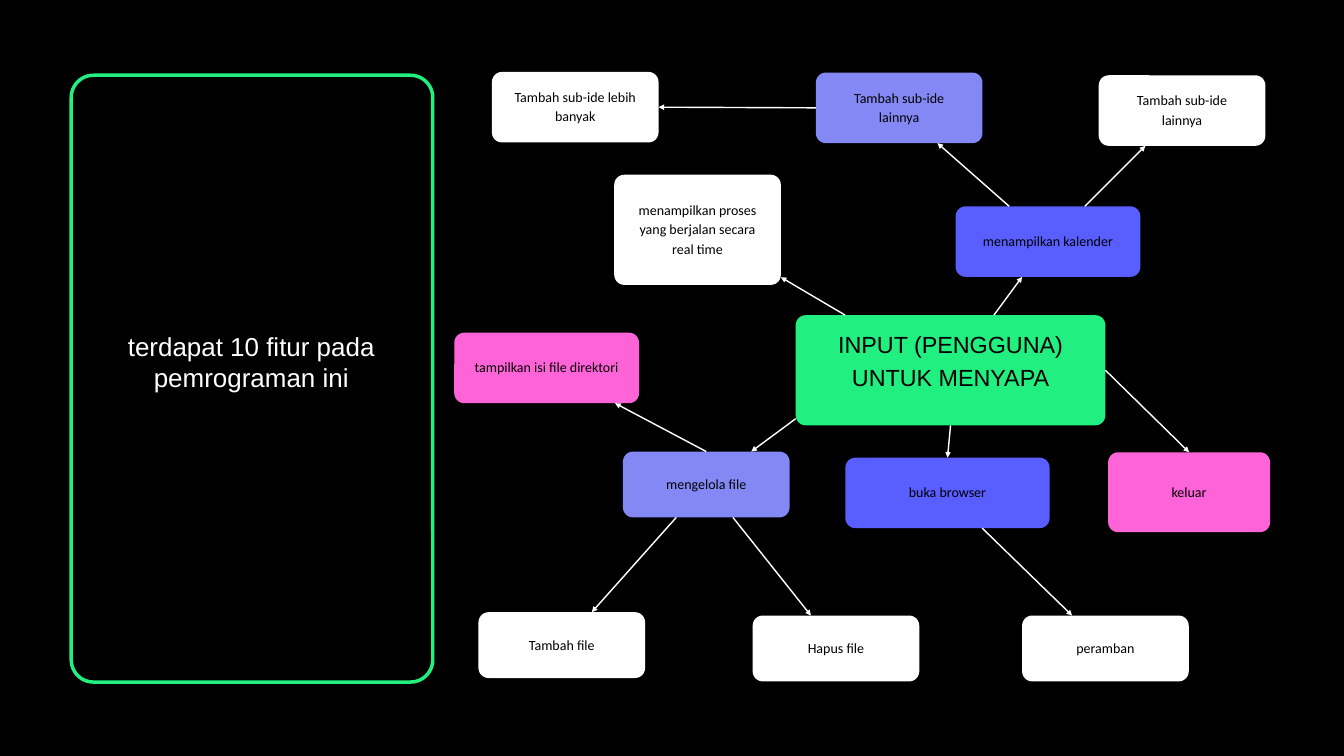
from pptx import Presentation
from pptx.dml.color import RGBColor
from pptx.enum import shapes, text
from pptx.oxml import parse_xml
from pptx.oxml.ns import nsdecls
from pptx import util as u

COLUMNS, ROWS = 20, 11.25  # square grid cells of one inch
COLORS = {
    "black": "000000",
    "white": "FFFFFF",
    "green": "21EF80",
    "pink": "FF63D8",
    "blue": "585EFF",
    "lilac": "8488F4",
}
TOP, LEFT, BOTTOM, RIGHT = range(4)  # connection sites of a rectangle

# name: (label, fill, column, row, columns wide, rows high)
IDEAS = {
    "input": ("INPUT (PENGGUNA) UNTUK MENYAPA", "green", 11.84, 4.69, 4.61, 1.64),
    "directory": ("tampilkan isi file direktori", "pink", 6.76, 4.95, 2.75, 1.05),
    "calendar": ("menampilkan kalender", "blue", 14.22, 3.07, 2.75, 1.05),
    "browser": ("buka browser", "blue", 12.58, 6.81, 3.04, 1.05),
    "exit": ("keluar", "pink", 16.49, 6.73, 2.41, 1.19),
    "sub_right": ("Tambah sub-ide lainnya", "white", 16.35, 1.12, 2.48, 1.05),
    "sub_left": ("Tambah sub-ide lainnya", "lilac", 12.14, 1.08, 2.48, 1.05),
    "sub_more": ("Tambah sub-ide lebih banyak", "white", 7.32, 1.07, 2.48, 1.05),
    "processes": ("menampilkan proses yang berjalan secara real time",
                  "white", 9.14, 2.6, 2.48, 1.64),
    "files": ("mengelola file", "lilac", 9.27, 6.72, 2.48, 0.98),
    "browser_name": ("peramban", "white", 15.21, 9.16, 2.48, 0.98),
    "add_file": ("Tambah file", "white", 7.12, 9.11, 2.48, 0.98),
    "delete_file": ("Hapus file", "white", 11.2, 9.16, 2.48, 0.98),
}

# (from, side, share along the side), (to, side, share along the side)
ARROWS = [
    (("input", RIGHT, 0.5), ("exit", TOP, 0.5)),
    (("input", TOP, 0.64), ("calendar", BOTTOM, 0.36)),
    (("input", BOTTOM, 0.5), ("browser", TOP, 0.5)),
    (("input", TOP, 0.16), ("processes", RIGHT, 0.93)),
    (("input", LEFT, 0.94), ("files", TOP, 0.77)),
    (("calendar", TOP, 0.7), ("sub_right", BOTTOM, 0.28)),
    (("calendar", TOP, 0.29), ("sub_left", BOTTOM, 0.73)),
    (("sub_left", LEFT, 0.5), ("sub_more", RIGHT, 0.5)),
    (("files", TOP, 0.5), ("directory", BOTTOM, 0.87)),
    (("files", BOTTOM, 0.32), ("add_file", TOP, 0.68)),
    (("files", BOTTOM, 0.66), ("delete_file", TOP, 0.35)),
    (("browser", BOTTOM, 0.67), ("browser_name", TOP, 0.3)),
]


def color(name):
    return RGBColor.from_string(COLORS[name])


def cells(*counts):
    return [u.Inches(count) for count in counts]


def format_text(frame, label, font, size, spacing, ink):
    frame.word_wrap = True
    frame.auto_size = text.MSO_AUTO_SIZE.NONE
    frame.text = label
    para = frame.paragraphs[0]
    para.alignment = text.PP_ALIGN.CENTER
    para.line_spacing = u.Pt(spacing)
    para.font.name = font
    para.font.size = u.Pt(size)
    para.font.color.rgb = color(ink)


def add_rounded_box(page, place, radius):
    box = page.shapes.add_shape(shapes.MSO_SHAPE.ROUNDED_RECTANGLE, *cells(*place))
    box.adjustments[0] = radius / min(place[2:])
    box.shadow.inherit = False
    return box


def add_idea(page, label, fill, *place):
    box = add_rounded_box(page, place, 0.15)
    box.fill.solid()
    box.fill.fore_color.rgb = color(fill)
    box.line.fill.background()
    is_center = fill == "green"
    frame = box.text_frame
    frame.vertical_anchor = text.MSO_ANCHOR.MIDDLE
    frame.margin_left = frame.margin_right = u.Inches(0.24)
    frame.margin_top = 0
    frame.margin_bottom = u.Inches(0.36 if is_center else 0.06)
    font, size, spacing = ("Arial", 25, 35) if is_center else ("Calibri", 15, 21)
    format_text(frame, label, font, size, spacing, "black")
    return box


def point_on_side(box, side, share):
    if side in (TOP, BOTTOM):
        return (box.left + int(box.width * share),
                box.top + (box.height if side == BOTTOM else 0))
    return (box.left + (box.width if side == RIGHT else 0),
            box.top + int(box.height * share))


def add_arrow(page, boxes, start, end):
    (source, source_side, source_share), (target, target_side, target_share) = start, end
    arrow = page.shapes.add_connector(
        shapes.MSO_CONNECTOR.STRAIGHT,
        *point_on_side(boxes[source], source_side, source_share),
        *point_on_side(boxes[target], target_side, target_share))
    if source_share == 0.5:
        arrow.begin_connect(boxes[source], source_side)
    if target_share == 0.5:
        arrow.end_connect(boxes[target], target_side)
    arrow.line.color.rgb = color("white")
    arrow.line.width = u.Pt(1.5)
    arrow.line._get_or_add_ln().append(
        parse_xml(f'<a:tailEnd {nsdecls("a")} type="triangle"/>'))
    arrow._element.spPr.append(parse_xml(f'<a:effectLst {nsdecls("a")}/>'))


def add_title_panel(page):
    panel = add_rounded_box(page, (1.06, 1.12, 5.38, 9.03), 0.33)
    panel.fill.background()
    panel.line.color.rgb = color("green")
    panel.line.width = u.Pt(3.75)

    title = page.shapes.title
    title.left, title.top, title.width, title.height = cells(1.21, 4.92, 5.06, 1.4)
    frame = title.text_frame
    frame.margin_left = frame.margin_right = 0
    frame.margin_top = frame.margin_bottom = 0
    frame.vertical_anchor = text.MSO_ANCHOR.TOP
    format_text(frame, "terdapat 10 fitur pada pemrograman ini",
                "Arial", 27.8, 33.3, "white")


def main():
    deck = Presentation()
    deck.slide_width, deck.slide_height = cells(COLUMNS, ROWS)
    page = deck.slides.add_slide(deck.slide_layouts[5])
    page.background.fill.solid()
    page.background.fill.fore_color.rgb = color("black")

    # Title on the left, mind map on the right
    add_title_panel(page)
    boxes = {name: add_idea(page, *idea) for name, idea in IDEAS.items()}
    for start, end in ARROWS:
        add_arrow(page, boxes, start, end)

    deck.save("out.pptx")


if __name__ == "__main__":
    main()
